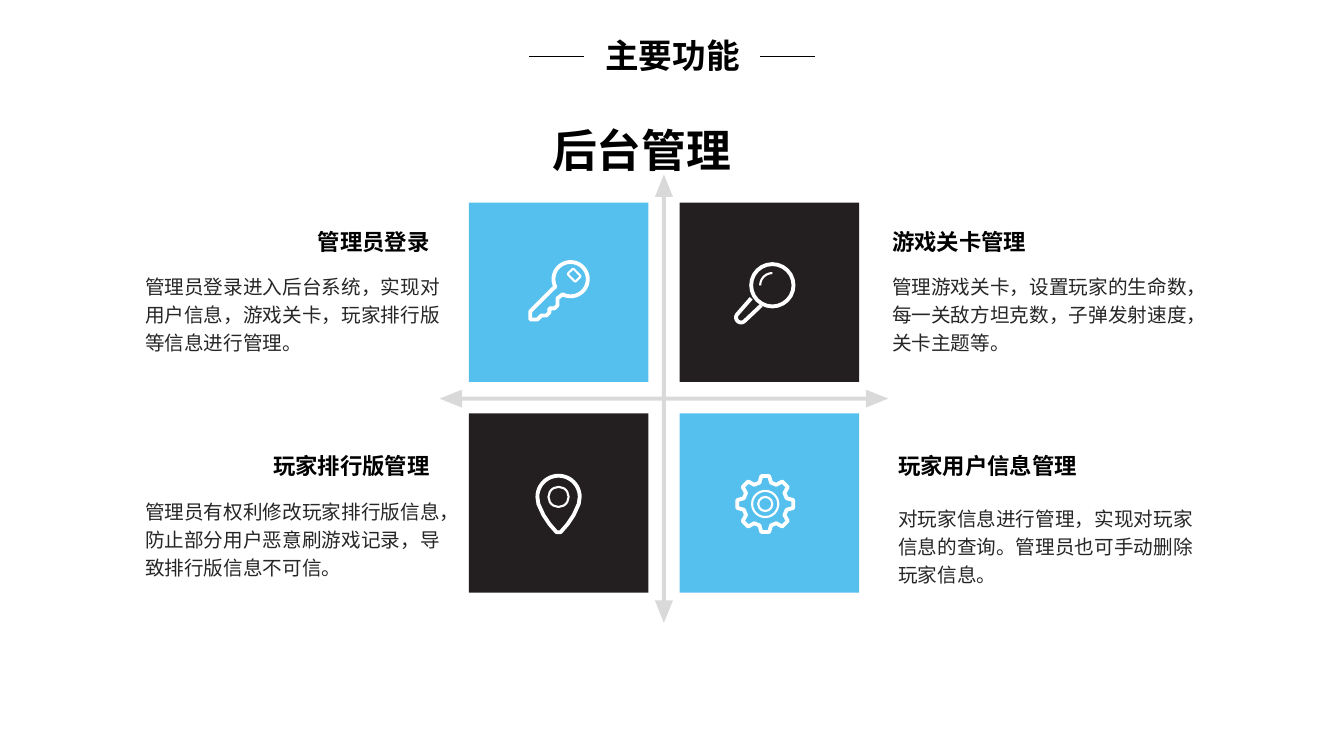
from dataclasses import dataclass
from math import cos, radians, sin

from lxml.etree import SubElement
from pptx import Presentation
from pptx.dml.color import RGBColor
from pptx.enum.shapes import MSO_CONNECTOR, MSO_SHAPE
from pptx.enum.text import MSO_ANCHOR, MSO_AUTO_SIZE, PP_ALIGN
from pptx.oxml.ns import qn
from pptx.util import Inches, Pt


@dataclass(frozen=True)
class Theme:
    blue: RGBColor = RGBColor(0x55, 0xC0, 0xEE)
    dark: RGBColor = RGBColor(0x23, 0x1F, 0x20)
    gray: RGBColor = RGBColor(0xD9, 0xD9, 0xD9)
    white: RGBColor = RGBColor(0xFF, 0xFF, 0xFF)
    black: RGBColor = RGBColor(0, 0, 0)
    body_color: RGBColor = RGBColor(0x26, 0x26, 0x26)
    title_font: str = "Noto Sans CJK SC"
    subtitle_font: str = "Arial"
    heading_font: str = "Lato"
    body_font: str = "Noto Sans CJK SC"
    east_asian_font: str = "Lato"
    title_size: int = 24
    subtitle_size: int = 32
    heading_size: int = 16
    body_size: int = 14
    thick: float = 2.75
    thin: float = 1.5


THEME = Theme()
TILE = 1.78


# Text and shape helpers
def place(shape, left, top, width, height):
    shape.left, shape.top = Inches(left), Inches(top)
    shape.width, shape.height = Inches(width), Inches(height)


def write(box, text, font_name, size, color, bold=False, align=PP_ALIGN.LEFT, wrap=True):
    frame = box.text_frame
    frame.text = text
    frame.word_wrap = wrap
    frame.auto_size = MSO_AUTO_SIZE.NONE
    frame.vertical_anchor = MSO_ANCHOR.TOP
    para = frame.paragraphs[0]
    para.alignment = align
    font = para.font
    font.name, font.size, font.bold = font_name, Pt(size), bold
    font.color.rgb = color
    properties = para._p.pPr.find(qn("a:defRPr"))
    SubElement(properties, qn("a:ea")).set("typeface", THEME.east_asian_font)
    return para


def add_text(page, left, top, width, height, *args, **options):
    box = page.shapes.add_textbox(*map(Inches, (left, top, width, height)))
    return write(box, *args, **options)


def add_filled(page, kind, left, top, width, height, color):
    shape = page.shapes.add_shape(kind, *map(Inches, (left, top, width, height)))
    shape.shadow.inherit = False
    shape.fill.solid()
    shape.fill.fore_color.rgb = color
    shape.line.fill.background()
    return shape


# Icon strokes
def outline(shape, weight):
    shape.shadow.inherit = False
    shape.fill.background()
    shape.line.color.rgb = THEME.white
    shape.line.width = Pt(weight)


def polar(center, radius, angle):
    return (center[0] + radius * cos(radians(angle)),
            center[1] + radius * sin(radians(angle)))


def arc(center, radius, start, end, steps=24):
    return [polar(center, radius, start + (end - start) * step / steps)
            for step in range(steps + 1)]


def add_stroke(page, left, top, points, close=True, weight=THEME.thick):
    spots = [(Inches(left + x), Inches(top + y)) for x, y in points]
    builder = page.shapes.build_freeform(*spots[0], scale=1.0)
    builder.add_line_segments(spots[1:], close=close)
    outline(builder.convert_to_shape(), weight)


def add_ring(page, left, top, center, radius, weight=THEME.thin):
    bounds = (left + center[0] - radius, top + center[1] - radius, 2 * radius, 2 * radius)
    outline(page.shapes.add_shape(MSO_SHAPE.OVAL, *map(Inches, bounds)), weight)


# Icons, each in a square of 0.61 inches
def add_key(page, left, top):
    teeth = [(0.25, 0.28), (0.02, 0.51), (0.02, 0.59), (0.09, 0.59), (0.13, 0.55),
             (0.18, 0.55), (0.21, 0.52), (0.21, 0.48), (0.26, 0.48), (0.29, 0.45),
             (0.29, 0.38)]
    add_stroke(page, left, top, arc((0.42, 0.19), 0.17, 118, -207, 36) + teeth)
    tag = page.shapes.add_shape(MSO_SHAPE.ROUNDED_RECTANGLE, Inches(left + 0.4),
                                Inches(top + 0.11), Inches(0.11), Inches(0.08))
    tag.rotation = 45
    outline(tag, THEME.thin)


def add_magnifier(page, left, top):
    lens = (0.38, 0.23)
    add_ring(page, left, top, lens, 0.21, THEME.thick)
    handle = [(0.17, 0.36), *arc((0.07, 0.55), 0.05, 225, 45, 12), (0.27, 0.43)]
    add_stroke(page, left, top, handle, close=False)
    add_stroke(page, left, top, arc(lens, 0.12, 180, 270), False, THEME.thin)


def add_pin(page, left, top):
    center = (0.3, 0.23)
    side = [(0.2, 0.07), (0.15, 0.18), (0.09, 0.27), (0.02, 0.35)]
    right = [(center[0] + x, center[1] + y) for x, y in side]
    mirrored = [(center[0] - x, center[1] + y) for x, y in reversed(side)]
    add_stroke(page, left, top, arc(center, 0.21, 180, 360) + right + mirrored)
    add_ring(page, left, top, center, 0.1)


def add_gear(page, left, top):
    center = (0.3, 0.3)
    tooth = [(-15, 0.22), (-8, 0.28), (8, 0.28), (15, 0.22)]
    add_stroke(page, left, top, [polar(center, radius, turn + angle)
                                 for turn in range(0, 360, 45) for angle, radius in tooth])
    for radius in (0.13, 0.07):
        add_ring(page, left, top, center, radius)


# Title with a rule on either side
def add_title(page, left, top, width, height):
    place(page.shapes.title, left, top, width, height)
    write(page.shapes.title, "主要功能", THEME.title_font, THEME.title_size,
          THEME.black, bold=True, align=PP_ALIGN.CENTER)
    for start in (left + 0.69, left + 2.98):
        y = Inches(top + 0.26)
        rule = page.shapes.add_connector(MSO_CONNECTOR.STRAIGHT, Inches(start), y,
                                         Inches(start + 0.54), y)
        rule.line.color.rgb = THEME.black
        rule.line.width = Pt(1)
        SubElement(rule._element.spPr, qn("a:effectLst"))


# Four-way arrow behind the tiles
def add_cross(page, left, top, size):
    cross = add_filled(page, MSO_SHAPE.QUAD_ARROW, left, top, size, size, THEME.gray)
    for index, value in enumerate((0.009, 0.02, 0.05)):
        cross.adjustments[index] = value


# Coloured tile and its icon
def add_tile(page, left, top, color, add_icon, icon_offset):
    add_filled(page, MSO_SHAPE.RECTANGLE, left, top, TILE, TILE, color)
    add_icon(page, left + icon_offset[0], top + icon_offset[1])


# Heading and description beside a tile
def add_description(page, left, top, heading, body, align, body_gap=0.42, width=3.15):
    heading_width = 3.02 if align == PP_ALIGN.RIGHT else width
    add_text(page, left, top, heading_width, 0.37, heading, THEME.heading_font,
             THEME.heading_size, THEME.black, bold=True, align=align)
    para = add_text(page, left, top + body_gap, width, 0.95, body, THEME.body_font,
                    THEME.body_size, THEME.body_color)
    para.line_spacing = 1.2
    para.space_before = Pt(2.8)


def main():
    deck = Presentation()
    deck.slide_width, deck.slide_height = Inches(13.33), Inches(7.5)
    page = deck.slides.add_slide(deck.slide_layouts[5])

    add_title(page, 4.56, 0.3, 4.22, 0.5)
    add_cross(page, 4.36, 1.73, 4.45)
    columns, rows = (4.65, 6.74), (2.01, 4.1)
    add_tile(page, columns[0], rows[0], THEME.blue, add_key, (0.59, 0.57))
    add_tile(page, columns[1], rows[0], THEME.dark, add_magnifier, (0.54, 0.59))
    add_tile(page, columns[0], rows[1], THEME.dark, add_pin, (0.59, 0.6))
    add_tile(page, columns[1], rows[1], THEME.blue, add_gear, (0.55, 0.6))

    add_description(page, 1.34, 2.21, "管理员登录",
                    "管理员登录进入后台系统，实现对用户信息，游戏关卡，玩家排行版等信息进行管理。",
                    PP_ALIGN.RIGHT)
    add_description(page, 8.75, 2.21, "游戏关卡管理",
                    "管理游戏关卡，设置玩家的生命数，每一关敌方坦克数，子弹发射速度，关卡主题等。",
                    PP_ALIGN.LEFT, width=3.2)
    add_description(page, 1.34, 4.44, "玩家排行版管理",
                    "管理员有权利修改玩家排行版信息，防止部分用户恶意刷游戏记录，导致排行版信息不可信。",
                    PP_ALIGN.RIGHT)
    add_description(page, 8.81, 4.44, "玩家用户信息管理",
                    "对玩家信息进行管理，实现对玩家信息的查询。管理员也可手动删除玩家信息。",
                    PP_ALIGN.LEFT, body_gap=0.49)
    add_text(page, 4.65, 1.17, 3.43, 0.64, "后台管理", THEME.subtitle_font,
             THEME.subtitle_size, THEME.black, bold=True, align=PP_ALIGN.CENTER)

    deck.save("out.pptx")


if __name__ == "__main__":
    main()
